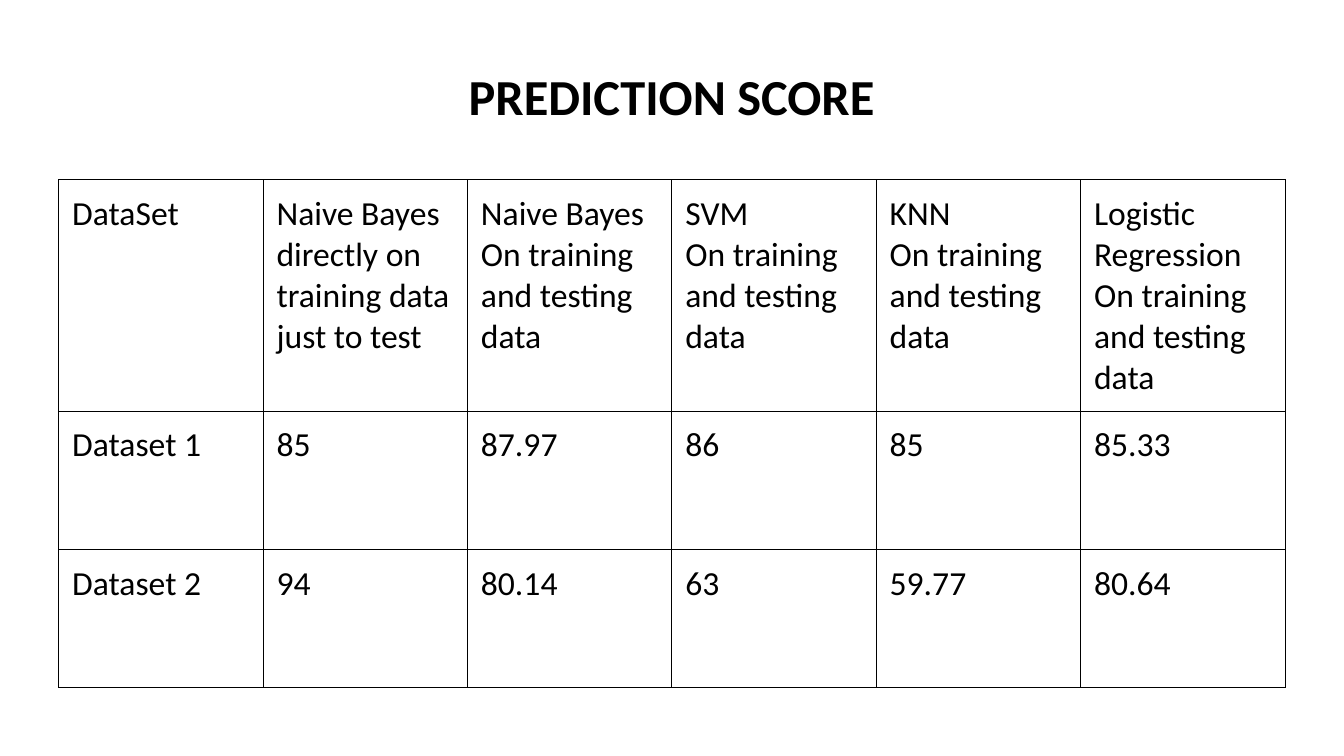
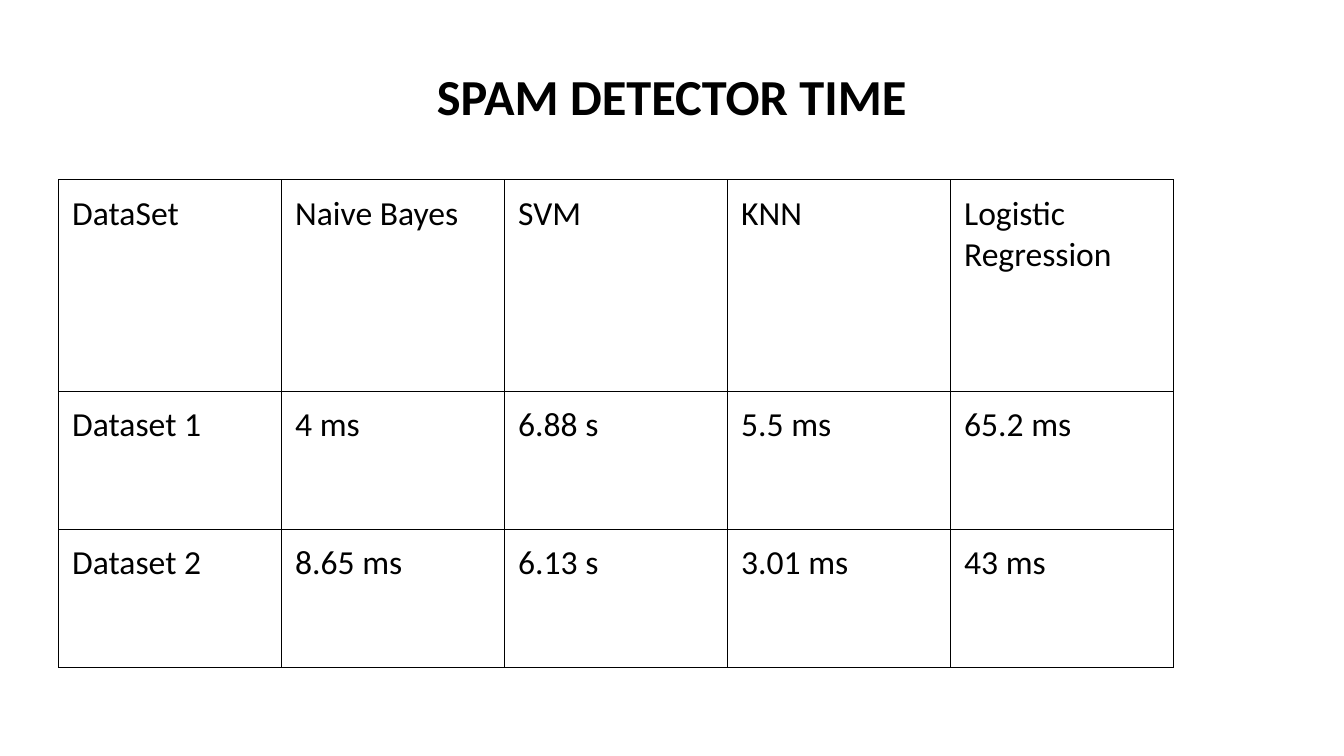
import pptx
import pptx.dml.color
import pptx.enum.text
import pptx.util
import lxml.etree
import pptx.oxml.ns

Pt = pptx.util.Pt
COLOURS = {"page": "FFFFFF", "text": "000000", "border": "000000"}
FONT = "Calibri"
TITLE_ONLY = 5
TABLE_LEFT, TABLE_TOP = 42, 128.4
DATA_ROW_HEIGHT = 98.7
CELL_INSET = 9.6
SPLIT_NOTE = "\nOn training and testing data"

SCORES = [
    ["DataSet", "Naive Bayes directly on training data just to test"]
    + [model + SPLIT_NOTE for model in ("Naive Bayes", "SVM", "KNN", "Logistic Regression")],
    ["Dataset 1", "85", "87.97", "86", "85", "85.33"],
    ["Dataset 2", "94", "80.14", "63", "59.77", "80.64"],
]
TIMES = [
    ["DataSet", "Naive Bayes", "SVM", "KNN", "Logistic Regression"],
    ["Dataset 1", "4 ms", "6.88 s", "5.5 ms", "65.2 ms"],
    ["Dataset 2", "8.65 ms", "6.13 s", "3.01 ms", "43 ms"],
]


def rgb(name):
    return pptx.dml.color.RGBColor.from_string(COLOURS[name])


def style_font(paragraph, size, bold=False):
    font = paragraph.font
    font.name, font.size, font.bold = FONT, Pt(size), bold
    font.color.rgb = rgb("text")


def set_insets(frame, inset):
    frame.margin_left = frame.margin_right = Pt(inset)
    frame.margin_top = frame.margin_bottom = Pt(inset)


def set_title(slide, wording):
    title = slide.shapes.title
    title.left, title.top, title.width, title.height = Pt(41), Pt(38.2), Pt(877.7), Pt(105)
    frame = title.text_frame
    frame.text = wording
    frame.vertical_anchor = pptx.enum.text.MSO_ANCHOR.TOP
    frame.auto_size = pptx.enum.text.MSO_AUTO_SIZE.NONE
    set_insets(frame, 8)
    heading = frame.paragraphs[0]
    heading.alignment = pptx.enum.text.PP_ALIGN.CENTER
    style_font(heading, 36, bold=True)


def add_borders(cell):
    properties = cell._tc.get_or_add_tcPr()
    qn = pptx.oxml.ns.qn
    for side in ("a:lnL", "a:lnR", "a:lnT", "a:lnB"):
        line = lxml.etree.SubElement(properties, qn(side), w=str(Pt(0.75)))
        fill = lxml.etree.SubElement(line, qn("a:solidFill"))
        lxml.etree.SubElement(fill, qn("a:srgbClr"), val=COLOURS["border"])


def fill_cell(cell, wording):
    cell.text = wording
    set_insets(cell, CELL_INSET)
    add_borders(cell)
    cell.fill.background()
    for paragraph in cell.text_frame.paragraphs:
        style_font(paragraph, 24)


def add_results(slide, results, column_width, header_height):
    columns = len(results[0])
    heights = [header_height] + [DATA_ROW_HEIGHT] * (len(results) - 1)
    table = slide.shapes.add_table(
        len(results), columns, Pt(TABLE_LEFT), Pt(TABLE_TOP),
        Pt(column_width * columns), Pt(sum(heights))).table
    table.first_row = table.horz_banding = False
    for column in table.columns:
        column.width = Pt(column_width)
    for row, height, wordings in zip(table.rows, heights, results):
        row.height = Pt(height)
        for cell, wording in zip(row.cells, wordings):
            fill_cell(cell, wording)


def main():
    deck = pptx.Presentation()
    deck.slide_width, deck.slide_height = Pt(960), Pt(540)
    page = deck.slide_master.background.fill
    page.solid()
    page.fore_color.rgb = rgb("page")
    for title, results, column_width, header_height in (
        ("PREDICTION SCORE", SCORES, 146, 163.5),
        ("SPAM DETECTOR TIME", TIMES, 159.3, 151.2),
    ):
        slide = deck.slides.add_slide(deck.slide_layouts[TITLE_ONLY])
        set_title(slide, title)
        add_results(slide, results, column_width, header_height)
    deck.save("out.pptx")


if __name__ == "__main__":
    main()
